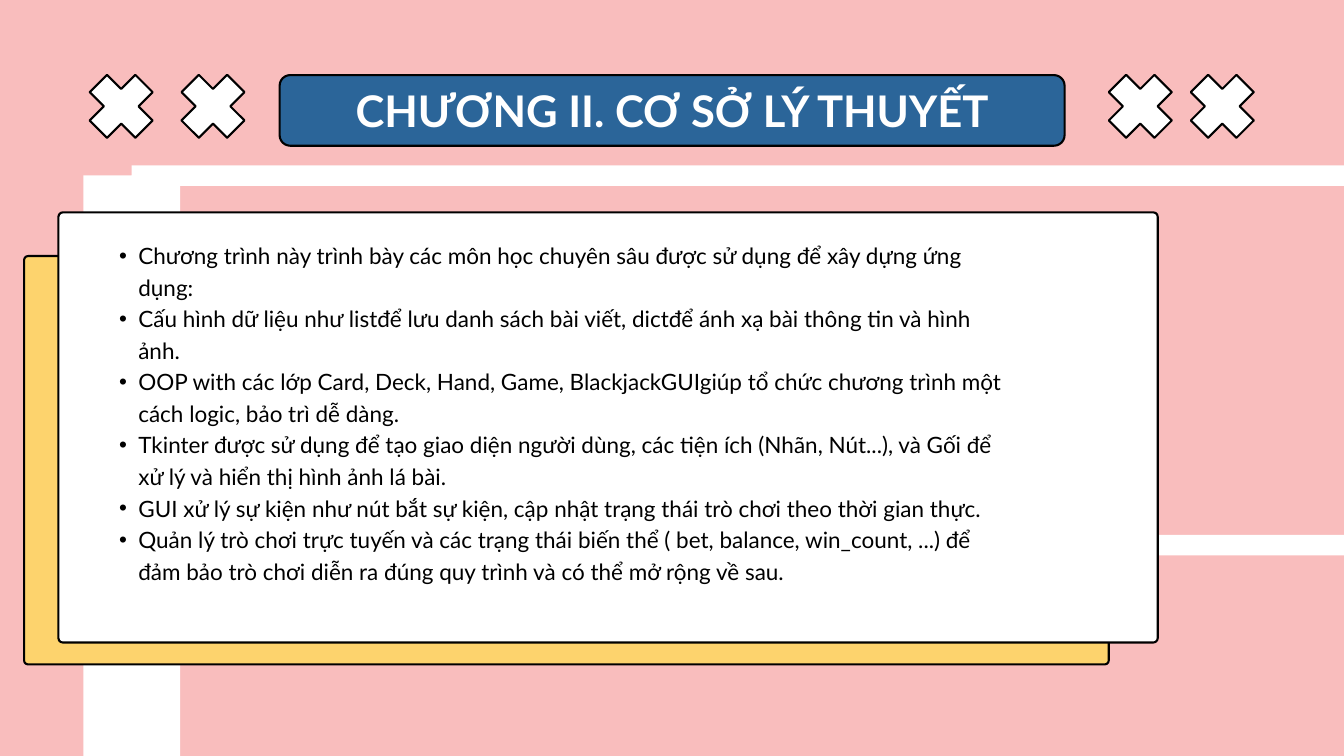
from lxml import etree
from pptx import Presentation
from pptx.dml.color import RGBColor
from pptx.enum.shapes import MSO_SHAPE
from pptx.enum.text import MSO_ANCHOR, MSO_AUTO_SIZE, PP_ALIGN
from pptx.oxml.ns import qn
from pptx.util import Cm, Pt

ROUNDED = MSO_SHAPE.ROUNDED_RECTANGLE
CROSS = MSO_SHAPE.CROSS
TOP = MSO_ANCHOR.TOP
NO_FIT = MSO_AUTO_SIZE.NONE
LEFT = PP_ALIGN.LEFT
CENTER = PP_ALIGN.CENTER

PINK = RGBColor(0xF9, 0xBD, 0xBD)
YELLOW = RGBColor(0xFD, 0xD3, 0x6D)
BLUE = RGBColor(0x2B, 0x65, 0x99)
WHITE = RGBColor(0xFF, 0xFF, 0xFF)
BLACK = RGBColor(0, 0, 0)

FONT = "Lato"
SLIDE_WIDTH = 50.8
SLIDE_HEIGHT = 28.58

TITLE = "CHƯƠNG II. CƠ SỞ LÝ THUYẾT"
POINTS = [
    "Chương trình này trình bày các môn học chuyên sâu được sử dụng để xây dựng ứng dụng:",
    "Cấu hình dữ liệu như listđể lưu danh sách bài viết, dictđể ánh xạ bài thông tin và hình ảnh.",
    "OOP with các lớp Card, Deck, Hand, Game, BlackjackGUIgiúp tổ chức chương trình một cách logic, "
    "bảo trì dễ dàng.",
    "Tkinter được sử dụng để tạo giao diện người dùng, các tiện ích (Nhãn, Nút...), và Gối để xử lý "
    "và hiển thị hình ảnh lá bài.",
    "GUI xử lý sự kiện như nút bắt sự kiện, cập nhật trạng thái trò chơi theo thời gian thực.",
    "Quản lý trò chơi trực tuyến và các trạng thái biến thể ( bet, balance, win_count, ...) để đảm bảo "
    "trò chơi diễn ra đúng quy trình và có thể mở rộng về sau.",
]


def place(shape, left, top, width, height):
    shape.left, shape.top = Cm(left), Cm(top)
    shape.width, shape.height = Cm(width), Cm(height)


def add_outlined(slide, kind, box, fill, adjustment):
    shape = slide.shapes.add_shape(kind, *(Cm(length) for length in box))
    shape.adjustments[0] = adjustment
    shape.shadow.inherit = False
    shape.fill.solid()
    shape.fill.fore_color.rgb = fill
    shape.line.color.rgb = BLACK
    shape.line.width = Pt(2.25)
    return shape


def write_text(shape, lines, size, spacing, color, align=LEFT, bold=False, bullet=None):
    frame = shape.text_frame
    frame.word_wrap = True
    frame.auto_size = NO_FIT
    frame.vertical_anchor = TOP
    frame.margin_left = frame.margin_right = frame.margin_top = frame.margin_bottom = 0
    for index, line in enumerate(lines):
        paragraph = frame.add_paragraph() if index else frame.paragraphs[0]
        paragraph.alignment = align
        paragraph.line_spacing = Pt(spacing)
        run = paragraph.add_run()
        run.text = line
        run.font.name = FONT
        run.font.size = Pt(size)
        run.font.bold = bold
        run.font.color.rgb = color
        if bullet:
            paragraph.level = 1
            properties = paragraph._p.get_or_add_pPr()
            properties.set("marL", str(Cm(1.45)))
            properties.set("indent", str(Cm(-0.73)))
            etree.SubElement(properties, qn("a:buFont")).set("typeface", "Arial")
            etree.SubElement(properties, qn("a:buChar")).set("char", bullet)


def add_window_frame(slide, left, top, width, height):
    post, bar, notch = 3.66, 0.78, (1.83, 0.38)
    second_bar = 13.97
    outline = [
        (width, 0), (notch[0], 0), notch, (0, notch[1]),
        (0, height), (post, height),
        (post, second_bar + bar), (width, second_bar + bar),
        (width, second_bar), (post, second_bar),
        (post, bar), (width, bar),
    ]
    corners = [(Cm(left + x), Cm(top + y)) for x, y in outline]
    builder = slide.shapes.build_freeform(*corners[0])
    builder.add_line_segments(corners[1:], close=True)
    frame = builder.convert_to_shape()
    frame.shadow.inherit = False
    frame.fill.solid()
    frame.fill.fore_color.rgb = WHITE
    frame.line.fill.background()


def add_content_card(slide, left, top, width, height):
    add_outlined(slide, ROUNDED, (left - 1.3, top + 1.65, width - 0.55, height - 0.82), YELLOW, 0.01)
    add_outlined(slide, ROUNDED, (left, top, width, height), WHITE, 0.01)
    body = slide.shapes.add_textbox(Cm(left + 1.57), Cm(top + 0.96), Cm(34.26), Cm(14.22))
    write_text(body, POINTS, size=24.1, spacing=33.8, color=BLACK, bullet="•")


def add_crosses(slide, lefts, top, size):
    for left in lefts:
        cross = add_outlined(slide, CROSS, (left, top, size, size), WHITE, 0.31)
        cross.rotation = 45


def add_title_banner(slide, left, top, width, height):
    add_outlined(slide, ROUNDED, (left, top, width, height), BLUE, 0.15)
    title = slide.shapes.title
    slide.shapes._spTree.append(title._element)
    inset = 1.32
    place(title, left + inset, top + 0.34, width - 2 * inset, 2.01)
    write_text(title, [TITLE], size=46.7, spacing=56.1, color=WHITE, align=CENTER, bold=True)


def main():
    presentation = Presentation()
    presentation.slide_width = Cm(SLIDE_WIDTH)
    presentation.slide_height = Cm(SLIDE_HEIGHT)
    slide = presentation.slides.add_slide(presentation.slide_layouts[5])
    slide.background.fill.solid()
    slide.background.fill.fore_color.rgb = PINK

    frame_left, frame_top = 3.15, 6.25
    add_window_frame(slide, frame_left, frame_top, SLIDE_WIDTH - frame_left, SLIDE_HEIGHT - frame_top)
    add_content_card(slide, 2.21, 8.03, 41.55, 16.26)
    add_crosses(slide, [3.36, 6.83, 41.88, 44.98], 2.8, 2.44)
    add_title_banner(slide, 10.57, 2.84, 29.67, 2.67)

    presentation.save("out.pptx")


if __name__ == "__main__":
    main()
